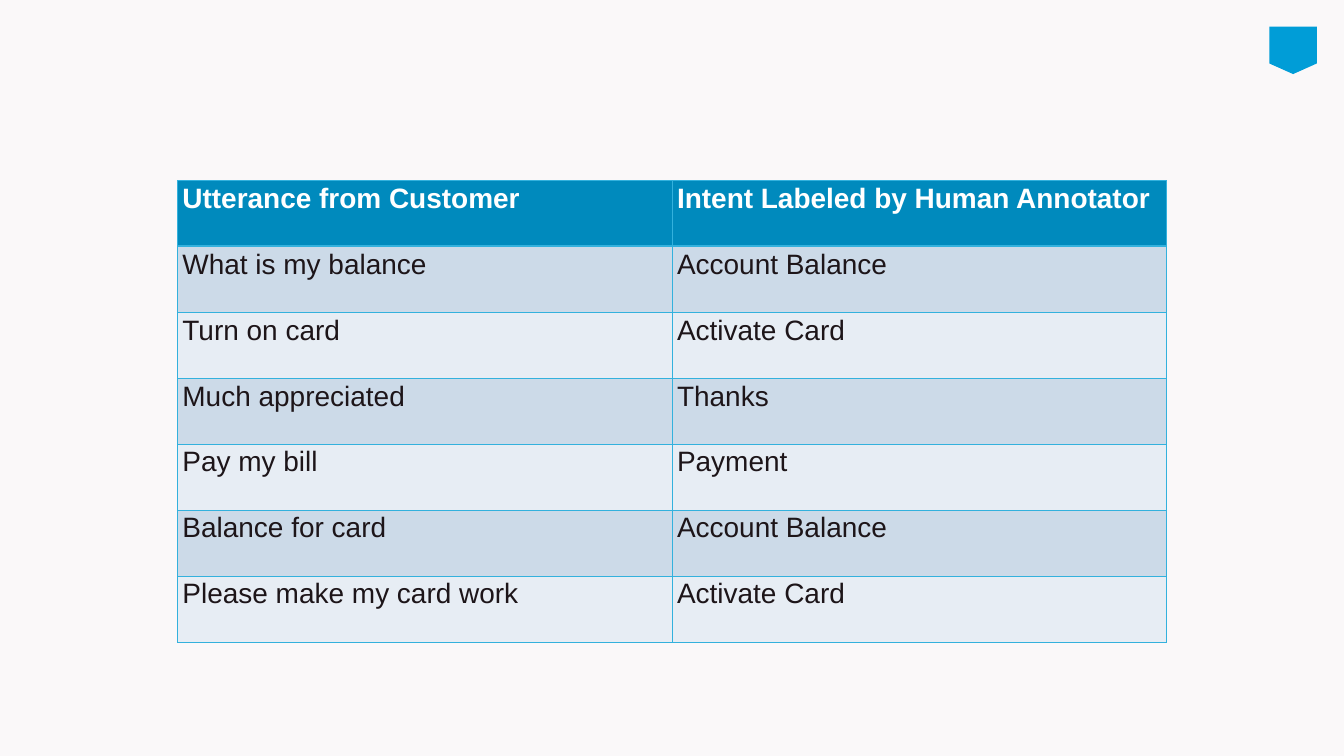
from dataclasses import dataclass

import lxml.etree
import pptx
import pptx.dml.color
import pptx.oxml.ns
import pptx.util

RGB = pptx.dml.color.RGBColor
BACKGROUND = RGB(0xFA, 0xF8, 0xF9)
MARKER_BLUE = RGB(0x00, 0x9D, 0xD7)
HEADER_BLUE = RGB(0x00, 0x8A, 0xBD)
BAND_DARK = RGB(0xCC, 0xDA, 0xE8)
BAND_LIGHT = RGB(0xE7, 0xED, 0xF4)
GRID_BLUE = RGB(0x33, 0xB1, 0xDD)
WHITE = RGB(0xFF, 0xFF, 0xFF)
INK = RGB(0x1D, 0x15, 0x19)

SLIDE_WIDTH = pptx.util.Inches(26.67)
SLIDE_HEIGHT = pptx.util.Inches(15)


@dataclass(frozen=True)
class RowStyle:
    fill: RGB
    text: RGB
    bold: bool
    bottom_pt: float


@dataclass(frozen=True)
class Example:
    utterance: str
    intent: str


HEADER = RowStyle(HEADER_BLUE, WHITE, True, 3)
BANDS = (RowStyle(BAND_DARK, INK, False, 1), RowStyle(BAND_LIGHT, INK, False, 1))

EXAMPLES = [
    Example("Utterance from Customer", "Intent Labeled by Human Annotator"),
    Example("What is my balance", "Account Balance"),
    Example("Turn on card", "Activate Card"),
    Example("Much appreciated", "Thanks"),
    Example("Pay my bill", "Payment"),
    Example("Balance for card", "Account Balance"),
    Example("Please make my card work", "Activate Card"),
]


def add_border(cell, position: int, side: str, width_pt: float) -> None:
    """Insert one cell border; borders come before the fill, in schema order."""
    qn = pptx.oxml.ns.qn
    line = lxml.etree.Element(qn(f"a:{side}"), w=str(pptx.util.Pt(width_pt)))
    fill = lxml.etree.SubElement(line, qn("a:solidFill"))
    lxml.etree.SubElement(fill, qn("a:srgbClr"), val=str(GRID_BLUE))
    cell._tc.get_or_add_tcPr().insert(position, line)


def fill_cell(cell, text: str, style: RowStyle, top_pt: float) -> None:
    cell.fill.solid()
    cell.fill.fore_color.rgb = style.fill
    borders = {"lnL": 1, "lnR": 1, "lnT": top_pt, "lnB": style.bottom_pt}
    for position, (side, width_pt) in enumerate(borders.items()):
        add_border(cell, position, side, width_pt)
    run = cell.text_frame.paragraphs[0].add_run()
    run.text = text
    run.font.name = "Arial"
    run.font.size = pptx.util.Pt(40)
    run.font.bold = style.bold
    run.font.color.rgb = style.text


def add_intent_table(slide) -> None:
    width, height = pptx.util.Inches(19.63), pptx.util.Inches(9.16)
    intents = slide.shapes.add_table(
        len(EXAMPLES), 2, pptx.util.Inches(3.52), pptx.util.Inches(3.58), width, height
    ).table
    for column in intents.columns:
        column.width = width // 2
    top_pt = 1
    for index, example in enumerate(EXAMPLES):
        intents.rows[index].height = height // len(EXAMPLES)
        style = BANDS[(index - 1) % 2] if index else HEADER
        for column, text in enumerate((example.utterance, example.intent)):
            fill_cell(intents.cell(index, column), text, style, top_pt)
        top_pt = style.bottom_pt


def add_corner_marker(slide) -> None:
    # Whole hundredths of an inch, since outline points are rounded to integers
    left, middle, right = 2519, 2566, 2613
    top, shoulder, tip = 53, 126, 147
    outline = slide.shapes.build_freeform(left, top, scale=pptx.util.Inches(0.01))
    outline.add_line_segments(
        [(right, top), (right, shoulder), (middle, tip), (left, shoulder)], close=True
    )
    marker = outline.convert_to_shape()
    marker.shadow.inherit = False
    marker.fill.solid()
    marker.fill.fore_color.rgb = MARKER_BLUE
    marker.line.fill.background()


def main() -> None:
    deck = pptx.Presentation()
    deck.slide_width, deck.slide_height = SLIDE_WIDTH, SLIDE_HEIGHT
    slide = deck.slides.add_slide(deck.slide_layouts[6])
    slide.background.fill.solid()
    slide.background.fill.fore_color.rgb = BACKGROUND

    # Pointed tab in the top right corner
    add_corner_marker(slide)
    # Customer utterances and their labels
    add_intent_table(slide)

    deck.save("out.pptx")


if __name__ == "__main__":
    main()
